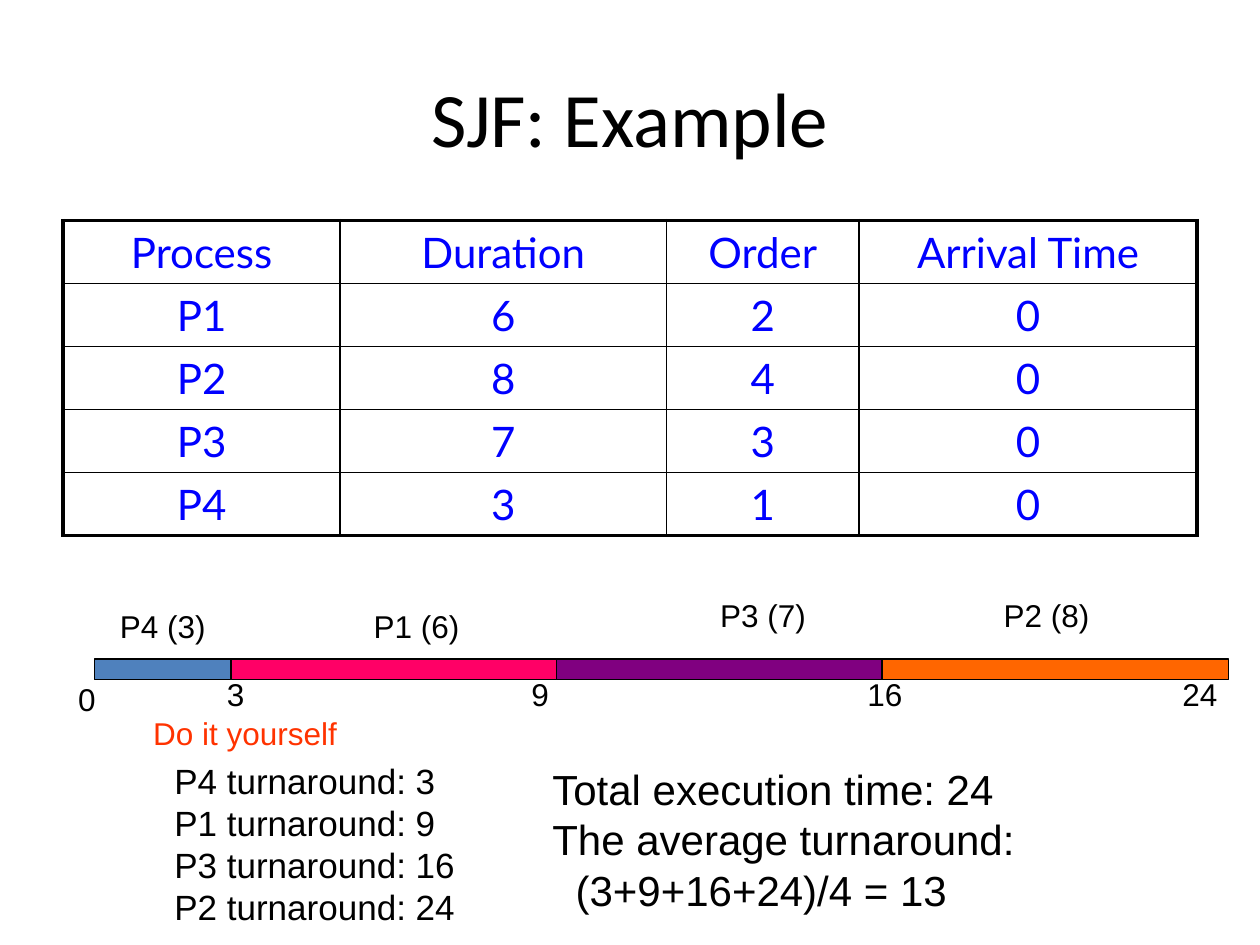
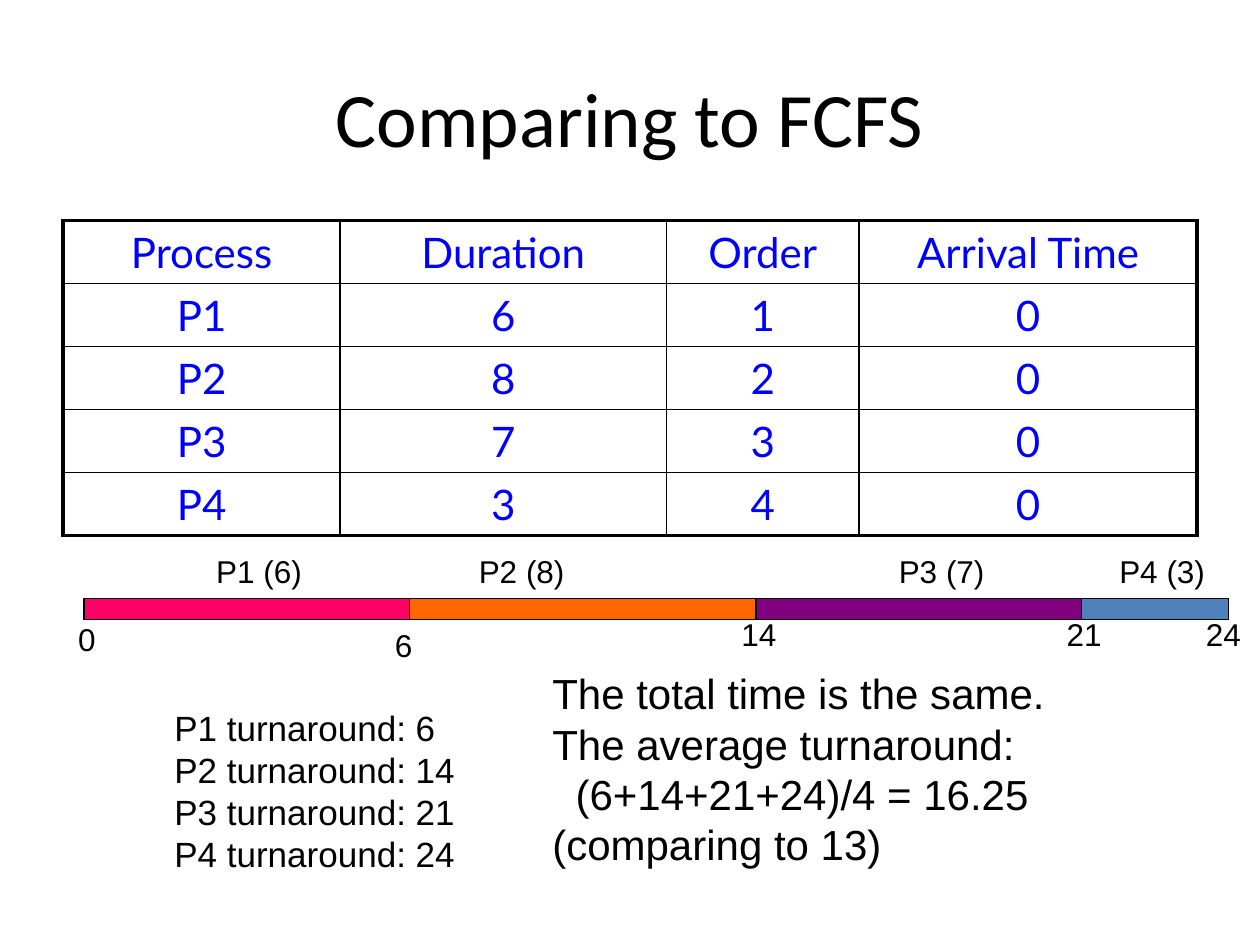
from itertools import accumulate

from lxml import etree
from pptx import Presentation
from pptx.dml.color import RGBColor
from pptx.enum.shapes import MSO_SHAPE
from pptx.enum.text import MSO_ANCHOR, PP_ALIGN
from pptx.oxml.ns import qn
from pptx.util import Pt

RECT = MSO_SHAPE.RECTANGLE
MIDDLE, TOP = MSO_ANCHOR.MIDDLE, MSO_ANCHOR.TOP
CENTER, LEFT = PP_ALIGN.CENTER, PP_ALIGN.LEFT

# Shared colours and formats
HUES = {"ink": "000000", "cell": "0000FF", "hint": "FF3300",
        "P1": "FF0066", "P2": "FF6600", "P3": "800080", "P4": "4F81BD"}
INSET = Pt(3.6)
INSETS = {"margin_left": INSET, "margin_right": INSET,
          "margin_top": INSET, "margin_bottom": INSET}
TITLE = {"name": "Calibri", "size": Pt(44)}
CELL = {"name": "Lato", "size": Pt(24)}
LABEL = {"name": "Arial", "size": Pt(18)}
LIST = {"name": "Arial", "size": Pt(20)}
NOTE = {"name": "Arial", "size": Pt(24)}

# Shared table data
HEADS = ["Process", "Duration", "Order", "Arrival Time"]
TIMES = {"P1": 6, "P2": 8, "P3": 7, "P4": 3}
COLS = [158.4, 186.4, 110.2, 193]
ROW = 36

# Each slide: edges bound the bars; labels and marks are left, top points
SLIDES = [
    {"title": "SJF: Example", "run": ["P4", "P1", "P3", "P2"],
     "top": 376.5, "edges": [54, 132, 318, 504, 702],
     "labels": [(65, 343.5), (210, 343.5), (408, 337), (570, 337)],
     "marks": [(41, 385.2), (126, 382.3), (300, 382.3), (492, 382.3), (672, 382.3)],
     "list": 430.5, "note": 432.7, "hint": "Do it yourself",
     "lines": ["Total execution time: 24", "The average turnaround:",
               ("(3+9+16+24)/4 = 13", 13.3)]},
    {"title": "Comparing to FCFS", "run": ["P1", "P2", "P3", "P4"],
     "top": 342, "edges": [48, 234, 432, 618, 702],
     "labels": [(120, 312), (270, 312), (510, 312), (636, 312)],
     "marks": [(41, 350.6), (222, 354), (420, 348), (606, 348), (685.5, 348)],
     "list": 400, "note": 378, "hint": None,
     "lines": ["The total time is the same.", "The average turnaround:",
               ("(6+14+21+24)/4 = 16.25", 13.3), "(comparing to 13)"]},
]


def write(frame, lines, form, hue="ink", align=LEFT):
    """Fill a text frame; a line may be a pair of text and left indent."""
    for i, line in enumerate(lines):
        text, dent = line if isinstance(line, tuple) else (line, 0)
        para = frame.paragraphs[0] if i == 0 else frame.add_paragraph()
        para.alignment = align
        if dent:
            para._p.get_or_add_pPr().set("marL", str(Pt(dent)))
        run = para.add_run()
        run.text = text
        for key, val in form.items():
            setattr(run.font, key, val)
        run.font.color.rgb = RGBColor.from_string(HUES[hue])


def add_text(slide, box, lines, form, hue="ink", align=LEFT, anchor=TOP):
    frame = slide.shapes.add_textbox(*map(Pt, box)).text_frame
    for key, val in {**INSETS, "word_wrap": True, "vertical_anchor": anchor}.items():
        setattr(frame, key, val)
    write(frame, lines, form, hue, align)


deck = Presentation()
deck.slide_width, deck.slide_height = Pt(720), Pt(540)

for data in SLIDES:
    slide = deck.slides.add_slide(deck.slide_layouts[6])
    order = data["run"]
    add_text(slide, (36, 21.6, 648, 90), [data["title"]], TITLE,
             align=CENTER, anchor=MIDDLE)

    # Process table
    rows = [HEADS] + [[name, str(time), str(order.index(name) + 1), "0"]
                      for name, time in TIMES.items()]
    table = slide.shapes.add_table(len(rows), len(COLS), Pt(36), Pt(126),
                                   Pt(sum(COLS)), Pt(ROW * len(rows))).table
    table.first_row = table.horz_banding = False
    for col, wide in zip(table.columns, COLS):
        col.width = Pt(wide)
    for r, row in enumerate(rows):
        table.rows[r].height = Pt(ROW)
        for c, text in enumerate(row):
            cell = table.cell(r, c)
            for key, val in INSETS.items():
                setattr(cell, key, val)
            write(cell.text_frame, [text], CELL, "cell", CENTER)
            cell.text_frame.paragraphs[0].space_before = Pt(5)

            # Thick outer border, thin inner lines
            props = cell._tc.get_or_add_tcPr()
            outer = {"L": c == 0, "R": c == len(COLS) - 1,
                     "T": r == 0, "B": r == len(rows) - 1}
            for side, thick in outer.items():
                line = etree.SubElement(props, qn("a:ln" + side),
                                        w=str(Pt(2.25 if thick else 1)))
                fill = etree.SubElement(line, qn("a:solidFill"))
                etree.SubElement(fill, qn("a:srgbClr"), val=HUES["ink"])
            cell.fill.background()

    # Timeline bars with process labels
    edges = data["edges"]
    for name, left, right, spot in zip(order, edges, edges[1:], data["labels"]):
        bar = slide.shapes.add_shape(RECT, Pt(left), Pt(data["top"]),
                                     Pt(right - left), Pt(12))
        bar.shadow.inherit = False
        bar.fill.solid()
        bar.fill.fore_color.rgb = RGBColor.from_string(HUES[name])
        bar.line.color.rgb = RGBColor.from_string(HUES["ink"])
        bar.line.width = Pt(0.75)
        add_text(slide, (*spot, 58, 27), [f"{name} ({TIMES[name]})"], LABEL)

    # Time marks
    ends = list(accumulate((TIMES[name] for name in order), initial=0))
    for end, spot in zip(ends, data["marks"]):
        add_text(slide, (*spot, 28 if end > 9 else 18, 27), [str(end)], LABEL)

    # Turnaround list and result
    turns = [f"{name} turnaround: {end}" for name, end in zip(order, ends[1:])]
    add_text(slide, (96, data["list"], 176.5, 98.5), turns, LIST)
    add_text(slide, (312, data["note"], 298, 29 * len(data["lines"]) + 4),
             data["lines"], NOTE)
    if data["hint"]:
        add_text(slide, (84, 404.5, 119.5, 28), [data["hint"]], LABEL, "hint")

deck.save("out.pptx")
